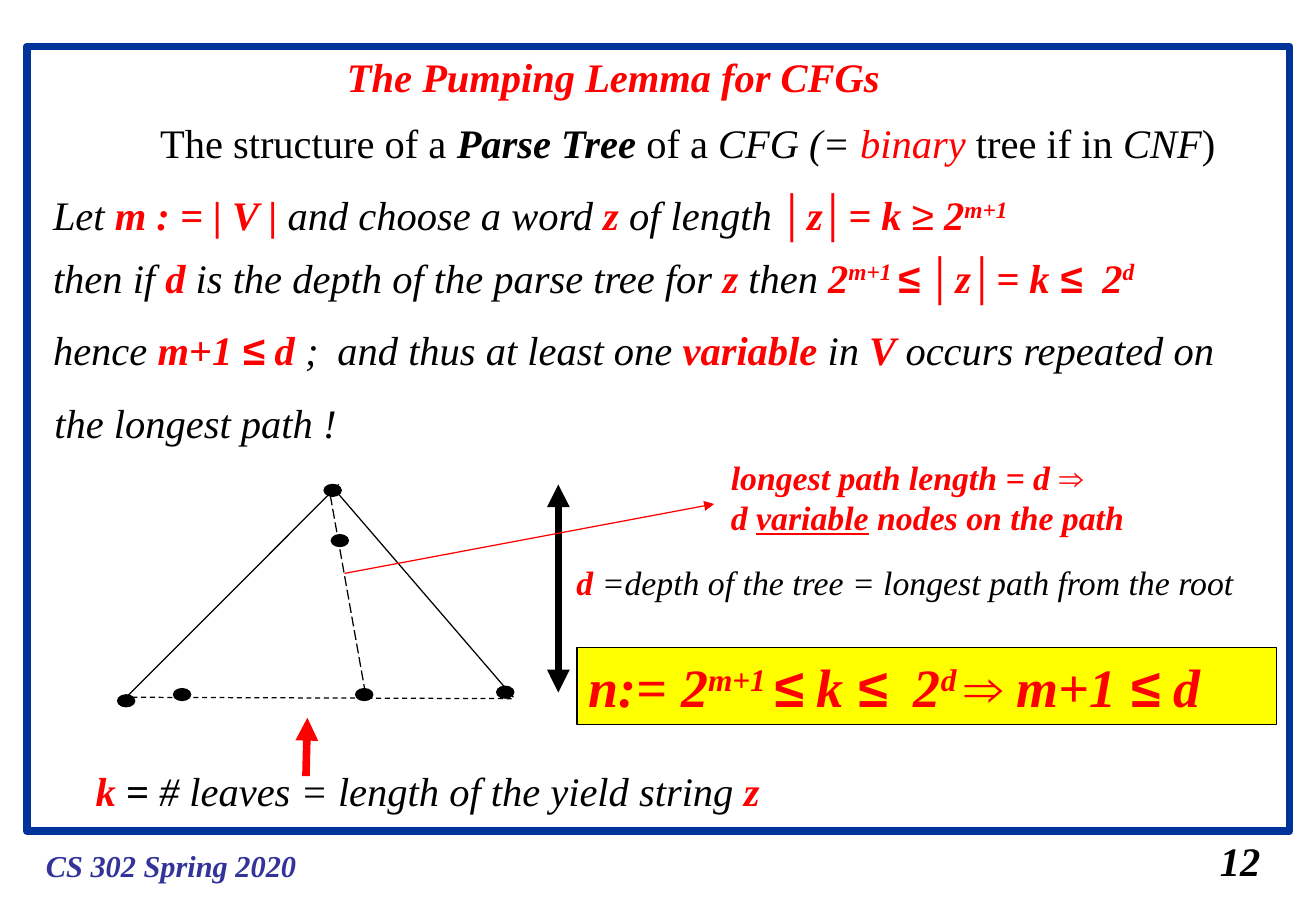
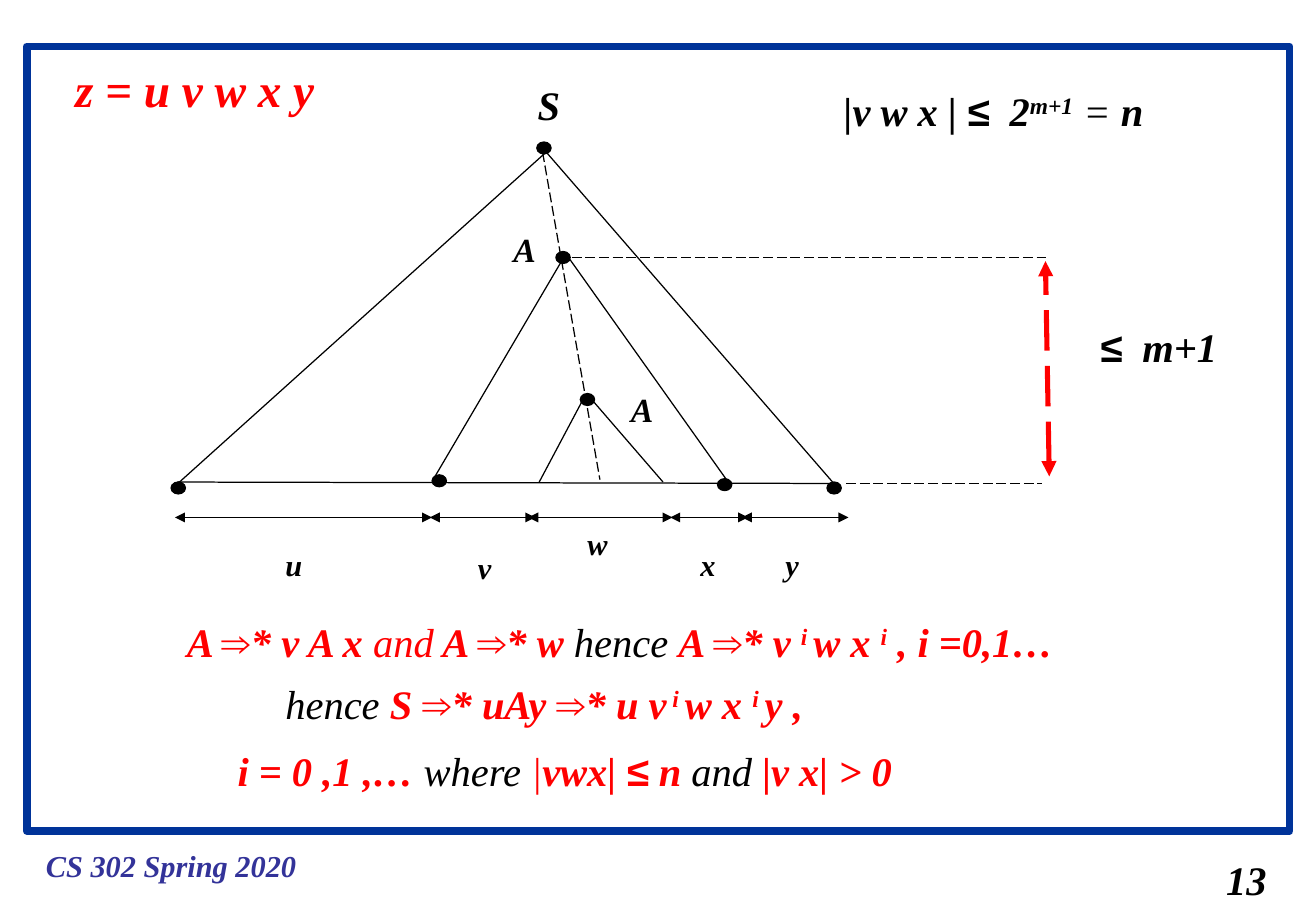
import itertools
import pptx
import pptx.util
import pptx.dml.color
import pptx.enum.dml
import pptx.enum.shapes
import pptx.enum.text
import pptx.oxml
import pptx.oxml.ns

Cm, Pt = pptx.util.Cm, pptx.util.Pt
DASH = pptx.enum.dml.MSO_LINE.DASH
LONG = pptx.enum.dml.MSO_LINE.LONG_DASH
SHAPE = pptx.enum.shapes.MSO_SHAPE

# Theme
THEME = {
    "serif": "Times New Roman", "sans": "Arial",
    "black": "000000", "red": "FF0000", "navy": "003399",
    "blue": "333399", "yellow": "FFFF00",
    "label": 18, "note": 20, "body": 24, "head": 28, "rule": 32,
    "thin": 0.75, "mid": 3, "thick": 4.5,
}
SIGNS = "≤≥⇒│"  # set in the sans face

# Run styles: colour, bold, italic, raised, wide space
STYLES = {
    "p": ("black", False, False, False, False),
    "k": ("black", False, True, False, False),
    "K": ("black", True, True, False, False),
    "K^": ("black", True, True, True, False),
    "K_": ("black", True, True, False, True),
    "r": ("red", False, True, False, False),
    "R": ("red", True, True, False, False),
    "R^": ("red", True, True, True, False),
    "R_": ("red", True, True, False, True),
    "R|": ("red", True, False, False, False),
    "r|": ("red", False, False, False, False),
    "RU": ("red", True, True, False, False),
    "B": ("blue", True, True, False, False),
}

# Line kinds: colour, width, dash, start arrow, end arrow
LINES = {
    "edge": ("black", "thin", None, False, False),
    "base": ("black", "thin", DASH, False, False),
    "path": ("black", "thin", LONG, False, False),
    "span": ("black", "thin", None, True, True),
    "depth": ("black", "thick", None, True, True),
    "hint": ("red", "thin", None, False, True),
    "up": ("red", "thick", None, False, True),
    "level": ("red", "mid", LONG, True, True),
}

FRAME = (0.56, 0.97, 26.42, 16.41)
FOOTER = (0.71, 17.6, 6.2, "label", [[("B", "CS 302 Spring 2020")]])

# Texts: left, top, width, size, paragraphs, options
LEMMA = {
    "texts": [
        (25.27, 17.35, 1.8, "body", [[("K", "12")]]),
        (7.01, 0.97, 12.2, "body", [[("R", "The Pumping Lemma for CFGs")]]),
        (3.1, 2.34, 23.3, "body", [[
            ("p", "The structure of a "), ("K", "Parse Tree "), ("p", "of a "),
            ("k", "CFG (= "), ("r", "binary "), ("p", "tree if in "),
            ("k", "CNF"), ("p", ")")]]),
        (11.81, 11.63, 15, "note", [[
            ("R", "d "), ("k", "=depth of the tree = longest path from the root")]]),
        (1.75, 15.9, 15, "body", [[
            ("R", "k"), ("K", " = "),
            ("k", "# leaves = length of the yield string "), ("R", "z")]]),
        (12.07, 13.54, 14.63, "rule", [[
            ("R", "n:= 2"), ("R^", "m+1 "), ("R", "≤ k ≤"), ("R_", " "),
            ("R", "2"), ("R^", "d "), ("R", "⇒ m+1 ≤ d")]], {"fill": "yellow"}),
        (15.04, 9.42, 9.6, "note", [
            [("R", "longest path length = d ⇒")],
            [("R", "d "), ("RU", "variable"), ("R", " nodes on the path")]]),
        (0.86, 3.35, 24.87, "body", [[
            ("k", "Let "), ("R", "m : = | V | "), ("k", "and choose a word "),
            ("R", "z "), ("k", "of length "), ("R|", "│"), ("R", "z"),
            ("R|", "│"), ("R", "= k "), ("r|", "≥ "), ("R", "2"),
            ("R^", "m+1")]], {"space": 1.5}),
        (0.86, 4.65, 24.66, "body", [[
            ("k", "then if "), ("R", "d"),
            ("k", " is the depth of the parse tree for "), ("R", "z "),
            ("k", "then "), ("R", "2"), ("R^", "m+1 "), ("R", "≤ "),
            ("R|", "│"), ("R", "z"), ("R|", "│"), ("R", "= k ≤"),
            ("R_", " "), ("R", "2"), ("R^", "d "), ("k", "hence "),
            ("R", "m+1 ≤ d "), ("k", ";")]], {"space": 1.5, "rows": 2}),
        (0.89, 6.17, 25.7, "body", [[
            ("k", "and thus at least one "), ("R", "variable "), ("k", "in "),
            ("R", "V "), ("k", "occurs repeated on the longest path !")]],
            {"space": 1.5, "rows": 2, "indent": 5.92}),
    ],
    "lines": [
        ("edge", 7.09, 10.13, 2.64, 14.58),
        ("edge", 6.96, 10.19, 10.74, 14.58),
        ("base", 2.59, 14.58, 10.77, 14.61),
        ("up", 6.4, 16.23, 6.43, 15.01),
        ("depth", 11.68, 10.13, 11.68, 14.48),
        ("path", 6.91, 10.36, 7.65, 14.53),
        ("hint", 7.21, 11.99, 14.94, 10.54),
    ],
    "dot": 0.36,
    "dots": [(2.46, 14.53), (3.63, 14.4), (10.39, 14.35), (6.78, 10.13),
             (7.44, 14.4), (6.93, 11.18)],
}

# Parts of the word: letter, span start and end, label left and top
PARTS = [("u", 3.66, 9.04, 5.72, 11.3), ("v", 8.99, 11.2, 9.75, 11.35),
         ("w", 11.05, 14.07, 12.04, 10.85), ("x", 14.02, 15.65, 14.4, 11.3),
         ("y", 15.52, 17.75, 16.18, 11.3)]
SPAN_Y = 10.82

SPLIT = {
    "texts": [
        (25.4, 17.75, 1.8, "body", [[("K", "13")]]),
        (1.32, 1.14, 6, "head", [[("R", "z = u v w x y")]]),
        (17.4, 1.68, 7.85, "body", [[
            ("K", "|v w x | ≤"), ("K_", " "), ("K", "2"), ("K^", "m+1"),
            ("k", " = "), ("K", "n")]]),
        (11, 1.55, 1.3, "body", [[("K", "S")]]),
        (10.49, 4.65, 1.3, "note", [[("K", "A")]]),
        (12.95, 8, 1.3, "note", [[("K", "A")]]),
        (22.76, 6.6, 3.8, "body", [[("K", "≤"), ("K_", " "), ("K", "m+1")]]),
        (3.66, 12.78, 20.57, "body", [[
            ("R", "A ⇒* v A x "), ("r", "and"), ("R", " A ⇒* w "),
            ("k", "hence "), ("R", "A ⇒* v "), ("R^", "i "), ("R", "w x "),
            ("R^", "i"), ("R", " , i =0,1…")]]),
        (5.72, 14.07, 12.42, "body", [[
            ("k", "hence "), ("R", "S ⇒* uAy ⇒* u v"), ("R^", " i "),
            ("R", "w x "), ("R^", "i "), ("R", "y ,")]]),
        (4.72, 15.47, 17.6, "body", [[
            ("R", "i = 0 ,1 ,… "), ("k", "where "), ("r", "|"),
            ("R", "vwx| ≤ n "), ("k", "and "), ("R", "|v x| > 0")]]),
    ] + [(x, y, 1.3, "label", [[("K", part)]]) for part, _, _, x, y in PARTS],
    "lines": [
        ("edge", 11.46, 3.15, 3.61, 10.21),
        ("edge", 11.4, 3.15, 17.53, 10.21),
        ("edge", 3.71, 10.08, 17.53, 10.11),
        ("path", 11.35, 3.18, 12.55, 10.03),
        ("edge", 11.76, 5.44, 9.09, 9.98),
        ("edge", 11.89, 5.38, 15.29, 10.16),
        ("edge", 12.22, 8.31, 11.28, 10.08),
        ("edge", 12.34, 8.31, 13.87, 10.08),
        ("path", 11.96, 5.38, 21.95, 5.38),
        ("path", 17.7, 10.11, 21.79, 10.11),
        ("level", 21.95, 9.96, 21.87, 5.46),
    ] + [("span", start, SPAN_Y, end, SPAN_Y) for _, start, end, _, _ in PARTS],
    "dot": 0.3,
    "dots": [(11.63, 5.26), (12.14, 8.23), (11.23, 2.97), (3.58, 10.08),
             (17.3, 10.08), (9.04, 9.93), (15.01, 10.01)],
}


def tint(name):
    return pptx.dml.color.RGBColor.from_string(THEME[name])


def add_box(slide, kind, place, fill, line, width):
    box = slide.shapes.add_shape(kind, *map(Cm, place))
    box.shadow.inherit = False
    if fill:
        box.fill.solid()
        box.fill.fore_color.rgb = tint(fill)
    else:
        box.fill.background()
    box.line.color.rgb = tint(line)
    box.line.width = Pt(THEME[width])
    return box


def add_runs(para, style, text, size):
    colour, bold, italic, raised, wide = STYLES[style]
    for sign, chars in itertools.groupby(text, lambda char: char in SIGNS):
        run = para.add_run()
        run.text = "".join(chars)
        font = run.font
        font.name = THEME["sans" if sign else "serif"]
        font.size, font.bold, font.italic = Pt(size), bold, italic
        font.underline = style == "RU"
        font.color.rgb = tint(colour)
        props = run._r.get_or_add_rPr()
        if raised:
            props.set("baseline", "30000")
        if wide:  # a quarter em more
            props.set("spc", str(size * 25))


def add_text(slide, left, top, width, size, paras, opts={}):
    points, space = THEME[size], opts.get("space", 1)
    rows = opts.get("rows", len(paras))
    high = 0.25 + rows * points * 1.2 * space * 2.54 / 72
    place = (left, top, width, high)
    if "fill" in opts:
        box = add_box(slide, SHAPE.RECTANGLE, place, opts["fill"], "black", "thin")
    else:
        box = slide.shapes.add_textbox(*map(Cm, place))
    frame = box.text_frame
    frame.word_wrap = True
    frame.vertical_anchor = pptx.enum.text.MSO_ANCHOR.TOP
    for i, runs in enumerate(paras):
        para = frame.add_paragraph() if i else frame.paragraphs[0]
        para.alignment = pptx.enum.text.PP_ALIGN.LEFT
        para.line_spacing = space
        if "indent" in opts:
            para._p.get_or_add_pPr().set("indent", str(Cm(opts["indent"])))
        for style, text in runs:
            add_runs(para, style, text, points)


def add_line(slide, kind, *ends):
    colour, width, dash, head, tail = LINES[kind]
    link = slide.shapes.add_connector(
        pptx.enum.shapes.MSO_CONNECTOR.STRAIGHT, *map(Cm, ends))
    link.line.color.rgb = tint(colour)
    link.line.width = Pt(THEME[width])
    if dash:
        link.line.dash_style = dash
    props = link._element.spPr
    stroke = props.find(pptx.oxml.ns.qn("a:ln"))
    space = pptx.oxml.ns.nsdecls("a")
    for tag, shown in (("headEnd", head), ("tailEnd", tail)):
        if shown:
            stroke.append(pptx.oxml.parse_xml(f'<a:{tag} {space} type="triangle"/>'))
    props.append(pptx.oxml.parse_xml(f"<a:effectLst {space}/>"))


def add_slide(deck, data):
    slide = deck.slides.add_slide(deck.slide_layouts[6])
    # Shared frame and footer
    add_box(slide, SHAPE.RECTANGLE, FRAME, None, "navy", "thick")
    add_text(slide, *FOOTER)
    # Parse tree
    for line in data["lines"]:
        add_line(slide, *line)
    for spot in data["dots"]:
        add_box(slide, SHAPE.OVAL, (*spot, data["dot"], 0.25), "black", "black", "thin")
    # Wording
    for text in data["texts"]:
        add_text(slide, *text)


def main():
    deck = pptx.Presentation()
    deck.slide_width, deck.slide_height = Cm(27.53), Cm(19.05)
    for data in (LEMMA, SPLIT):
        add_slide(deck, data)
    deck.save("out.pptx")


if __name__ == "__main__":
    main()
